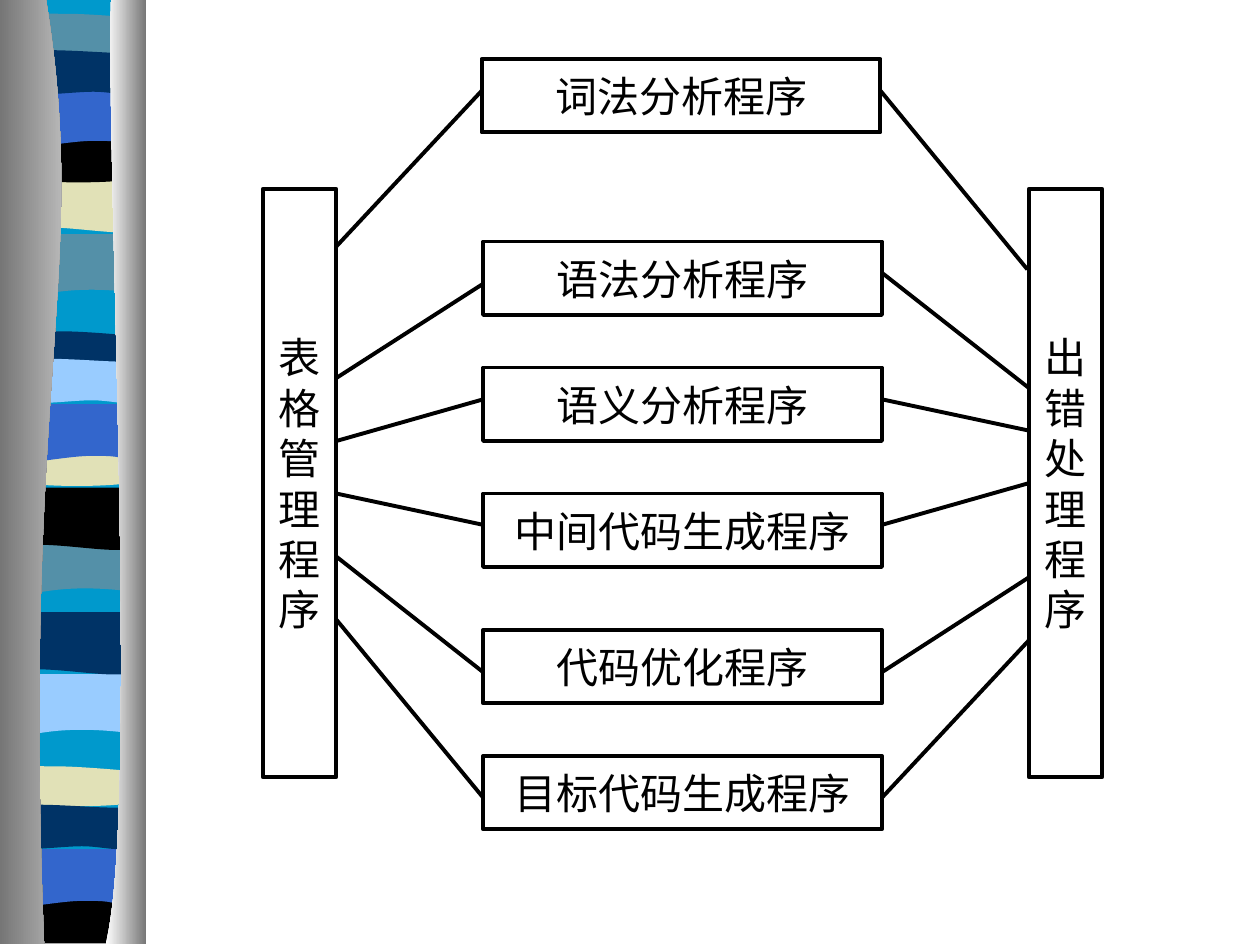
from dataclasses import dataclass
from lxml.etree import SubElement
from pptx import Presentation
from pptx.dml.color import RGBColor
from pptx.enum.shapes import MSO_CONNECTOR, MSO_SHAPE
from pptx.enum.text import MSO_ANCHOR, PP_ALIGN
from pptx.oxml.ns import qn
from pptx.util import Cm, Pt


@dataclass(frozen=True)
class Theme:
    font: str = "Times New Roman"
    size: int = 24
    line: float = 2.25
    ink: str = "000000"
    paper: str = "FFFFFF"
    cyan: str = "0099CC"
    slate: str = "5490A8"
    sand: str = "E1E1B7"
    blue: str = "3366CC"
    navy: str = "003366"
    sky: str = "99CCFF"
    shade: str = "767676"
    glow: str = "D5D5D5"


look = Theme()
color = RGBColor.from_string

deck = Presentation()
deck.slide_width, deck.slide_height = Cm(25.4), Cm(19.05)
slide = deck.slides.add_slide(deck.slide_layouts[6])
shapes = slide.shapes
tree = deck.slide_master.shapes._spTree


def add_path(steps, left=0, top=0):
    """Draw an outline on the master; a step is a point or a cubic curve of three points."""
    spots = [(Cm(left + x), Cm(top + y))
             for step in steps for x, y in zip(step[::2], step[1::2])]
    pen = shapes.build_freeform(*spots[0])
    pen.add_line_segments(spots[1:], close=True)
    form = pen.convert_to_shape()
    form.shadow.inherit = False
    form.line.fill.background()
    lines = iter(list(form._element.iter(qn("a:lnTo"))))
    for step in steps[1:]:
        first = next(lines)
        if len(step) == 6:
            first.tag = qn("a:cubicBezTo")
            for _ in range(2):
                extra = next(lines)
                first.append(extra[0])
                extra.getparent().remove(extra)
    tree.append(form._element)
    return form


def add_box(left, top, width, height, lines):
    box = shapes.add_shape(MSO_SHAPE.RECTANGLE, Cm(left), Cm(top), Cm(width), Cm(height))
    box.shadow.inherit = False
    box.fill.solid()
    box.fill.fore_color.rgb = color(look.paper)
    box.line.color.rgb = color(look.ink)
    box.line.width = Pt(look.line)
    frame = box.text_frame
    frame.word_wrap = False
    frame.vertical_anchor = MSO_ANCHOR.MIDDLE
    for i, text in enumerate(lines):
        para = frame.add_paragraph() if i else frame.paragraphs[0]
        para.alignment = PP_ALIGN.CENTER
        run = para.add_run()
        run.text = text
        run.font.name = look.font
        run.font.size = Pt(look.size)
        run.font.color.rgb = color(look.ink)


# Ribbon of coloured bands down the left side
bands = {
    "dip": [(2.5, 0), (2.5, 1.19), (0.76, 0.97, 0.43, 1.37, 0, 1.19), (0, 0)],
    "sag": [(2.5, 0), (2.5, 1.19), (2.08, 1.4, 0.76, 1.04, 0, 1.19), (0, 0)],
    "crest": [(2.5, 0.13), (2.5, 0.76), (2.08, 0.86, 0.41, 0.86, 0, 0.76), (0, 0.13),
              (0.15, 0, 0.53, 0.03, 0.97, 0.03), (1.37, 0.03, 2.18, 0.1, 2.5, 0.13)],
    "bowl": [(2.5, 0), (2.5, 0.84), (2.08, 0.97, 0.43, 0.97, 0, 0.84), (0, 0),
             (1.55, 0.13, 1.98, 0, 2.5, 0)],
    "arch": [(2.5, 0), (2.5, 1.19), (2.11, 1.04, 1.96, 1.04, 1.55, 1.04),
             (1.12, 1.04, 0.38, 1.19, 0, 1.19), (0, 0)],
    "wave": [(2.5, 0.13), (2.5, 0.91), (2.34, 1.04, 1.96, 0.91, 1.55, 0.91),
             (1.12, 0.91, 0.25, 1.04, 0, 0.91), (0, 0.13),
             (0.36, 0, 1.7, 0.13, 2.11, 0.13)],
    "foot": [(2.5, 0), (2.5, 0.94), (0, 0.94), (0, 0), (1.55, 0.13, 1.98, 0, 2.5, 0)],
}
ribbon = [
    ("dip", 0.33, 4.72, look.slate), ("sag", 0.43, 3.43, look.sand),
    ("crest", 0.43, 0.25, look.slate), ("bowl", 0.33, 2.74, look.ink),
    ("arch", 0.33, 1.8, look.blue), ("wave", 0.33, 0.94, look.navy),
    ("dip", 0.2, 10.74, look.slate), ("sag", 0.3, 9.83, look.ink),
    ("crest", 0.3, 6.65, look.navy), ("bowl", 0.3, 8.86, look.sand),
    ("arch", 0.3, 8.15, look.blue), ("wave", 0.3, 7.16, look.sky),
    ("dip", 0.13, 13.59, look.sky), ("sag", 0.25, 12.34, look.navy),
    ("crest", 0.2, 15.42, look.sand), ("foot", 0.2, 18.08, look.ink),
    ("arch", 0.13, 17.12, look.blue), ("wave", 0.1, 16.15, look.navy),
]
back = add_path([(2.84, 0), (2.84, 18.97), (0.36, 18.97), (0.36, 0)])
back.fill.solid()
back.fill.fore_color.rgb = color(look.cyan)
for kind, left, top, tint in ribbon:
    band = add_path(bands[kind], left, top)
    band.fill.solid()
    band.fill.fore_color.rgb = color(tint)

# Shaded edges that give the ribbon its outline
edges = [
    ([(0.93, 0), (1.82, 5.49, 0.43, 7.52, 0.89, 19.03), (0, 19.03), (0, 0)],
     look.shade, look.glow),
    ([(2.24, 0), (2.13, 3.18, 2.82, 16.41, 2.13, 19.03), (2.95, 19.03), (2.95, 0)],
     look.paper, look.shade),
]
for steps, start, end in edges:
    edge = add_path(steps)
    edge.fill.gradient()
    edge.fill.gradient_angle = 0
    for stop, tint, place in zip(edge.fill.gradient_stops, (start, end), (0, 1)):
        stop.color.rgb = color(tint)
        stop.position = place

# Pillars take one character to a line
wide, thick = 8.04, 1.48
west, east = 5.3, 20.74
add_box(east, 3.81, thick, 11.86, "出错处理程序")

# Six stages: name, left, top, then line heights at box and pillar, left and right
stages = [
    ("语法分析程序", 9.74, 4.87, (5.72, 7.62), (5.5, 7.82)),
    ("语义分析程序", 9.74, 7.41, (8.05, 8.89), (8.05, 8.68)),
    ("目标代码生成程序", 9.74, 15.24, (16.08, 12.49), (16.08, 12.91)),
    ("词法分析程序", 9.71, 1.19, (1.83, 5), (1.83, 5.43)),
    ("中间代码生成程序", 9.74, 9.95, (10.58, 9.95), (10.58, 9.74)),
    ("代码优化程序", 9.74, 12.7, (13.55, 11.22), (13.55, 11.64)),
]
for name, left, top, (y1, y2), (y3, y4) in stages:
    add_box(left, top, wide, thick, [name])
    shift = left - 9.74
    for ends in ((left, y1, west + thick + shift, y2),
                 (east + shift, y4, left + wide, y3)):
        link = shapes.add_connector(MSO_CONNECTOR.STRAIGHT, *map(Cm, ends))
        link.line.color.rgb = color(look.ink)
        link.line.width = Pt(look.line)
        SubElement(link._element.spPr, qn("a:effectLst"))

add_box(west, 3.81, thick, 11.86, "表格管理程序")

deck.save("out.pptx")
